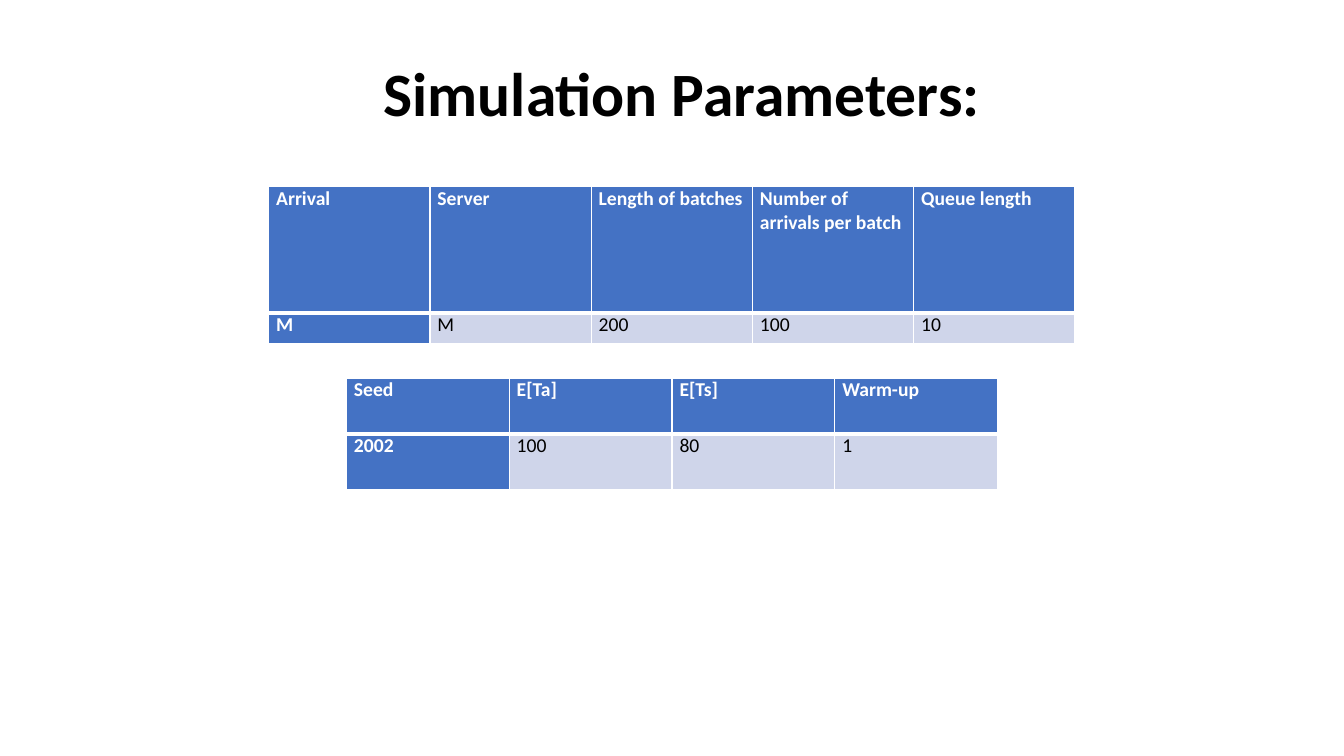
from lxml.etree import SubElement
from pptx import Presentation
from pptx.dml.color import RGBColor
from pptx.enum.text import MSO_ANCHOR as Anchor
from pptx.oxml.ns import qn
from pptx.util import Cm, Pt

BLACK = RGBColor(0x00, 0x00, 0x00)
WHITE = RGBColor(0xFF, 0xFF, 0xFF)
BLUE = RGBColor(0x44, 0x72, 0xC4)
PALE_BLUE = RGBColor(0xCF, 0xD5, 0xEA)

# Each parameter is a column: its name above its value
TIMING = {"Seed": "2002", "E[Ta]": "100", "E[Ts]": "80", "Warm-up": "1"}
QUEUE = {
    "Arrival": "M",
    "Server": "M",
    "Length of batches": "200",
    "Number of arrivals per batch": "100",
    "Queue length": "10",
}


def write(frame, text, size=14, color=BLACK, bold=False, font="Calibri", spacing=1.0):
    para = frame.paragraphs[0]
    para.line_spacing = spacing
    span = para.add_run()
    span.text = text
    span.font.name = font
    span.font.size = Pt(size)
    span.font.bold = bold
    span.font.color.rgb = color


def add_borders(cell, color=WHITE, **widths):
    """Draw cell borders; widths are points keyed by side: L, R, T, B."""
    properties = cell._tc.get_or_add_tcPr()
    for side, width in widths.items():
        line = SubElement(properties, qn(f"a:ln{side}"), w=str(Pt(width)))
        fill = SubElement(line, qn("a:solidFill"))
        SubElement(fill, qn("a:srgbClr"), val=str(color))


class ParameterSlide:
    cell_inset = Cm(0.19)
    thin, thick = 1, 3

    def __init__(self, deck):
        self.page = deck.slides.add_slide(deck.slide_layouts[6])

    def title(self, text, left, top, width, height):
        box = self.page.shapes.add_textbox(Cm(left), Cm(top), Cm(width), Cm(height))
        frame = box.text_frame
        frame.word_wrap = True
        frame.vertical_anchor = Anchor.MIDDLE
        write(frame, text, size=44, bold=True, spacing=0.9)

    def table(self, parameters, left, top, width, header_height, value_height):
        rows = [parameters.keys(), parameters.values()]
        heights = [header_height, value_height]
        table = self.page.shapes.add_table(
            len(rows), len(parameters),
            Cm(left), Cm(top), Cm(width), Cm(sum(heights))).table
        table.first_col = True
        table.horz_banding = False
        for row, height in zip(table.rows, heights):
            row.height = Cm(height)
        for row_index, texts in enumerate(rows):
            for column_index, text in enumerate(texts):
                self.fill_cell(table.cell(row_index, column_index), text,
                               is_header=row_index == 0, is_label=column_index == 0)

    def fill_cell(self, cell, text, is_header, is_label):
        strong = is_header or is_label
        cell.margin_left = cell.margin_right = self.cell_inset
        cell.margin_top = cell.margin_bottom = 0
        # Borders precede the fill; the rule below the header is thick
        above, below = (self.thin, self.thick) if is_header else (self.thick, self.thin)
        add_borders(cell, L=self.thin, R=self.thin, T=above, B=below)
        cell.fill.solid()
        cell.fill.fore_color.rgb = BLUE if strong else PALE_BLUE
        write(cell.text_frame, text, color=WHITE if strong else BLACK, bold=strong)


def main():
    deck = Presentation()
    deck.slide_width, deck.slide_height = Cm(33.87), Cm(19.05)
    slide = ParameterSlide(deck)

    # Heading
    slide.title("Simulation Parameters:", left=9.42, top=0.6, width=29.21, height=3.68)

    # Seed and timing, below
    slide.table(TIMING, left=8.73, top=9.53, width=16.41,
                header_height=1.41, value_height=1.4)

    # Arrivals and queue, above
    slide.table(QUEUE, left=6.77, top=4.7, width=20.32,
                header_height=3.18, value_height=0.79)

    deck.save("out.pptx")


if __name__ == "__main__":
    main()
